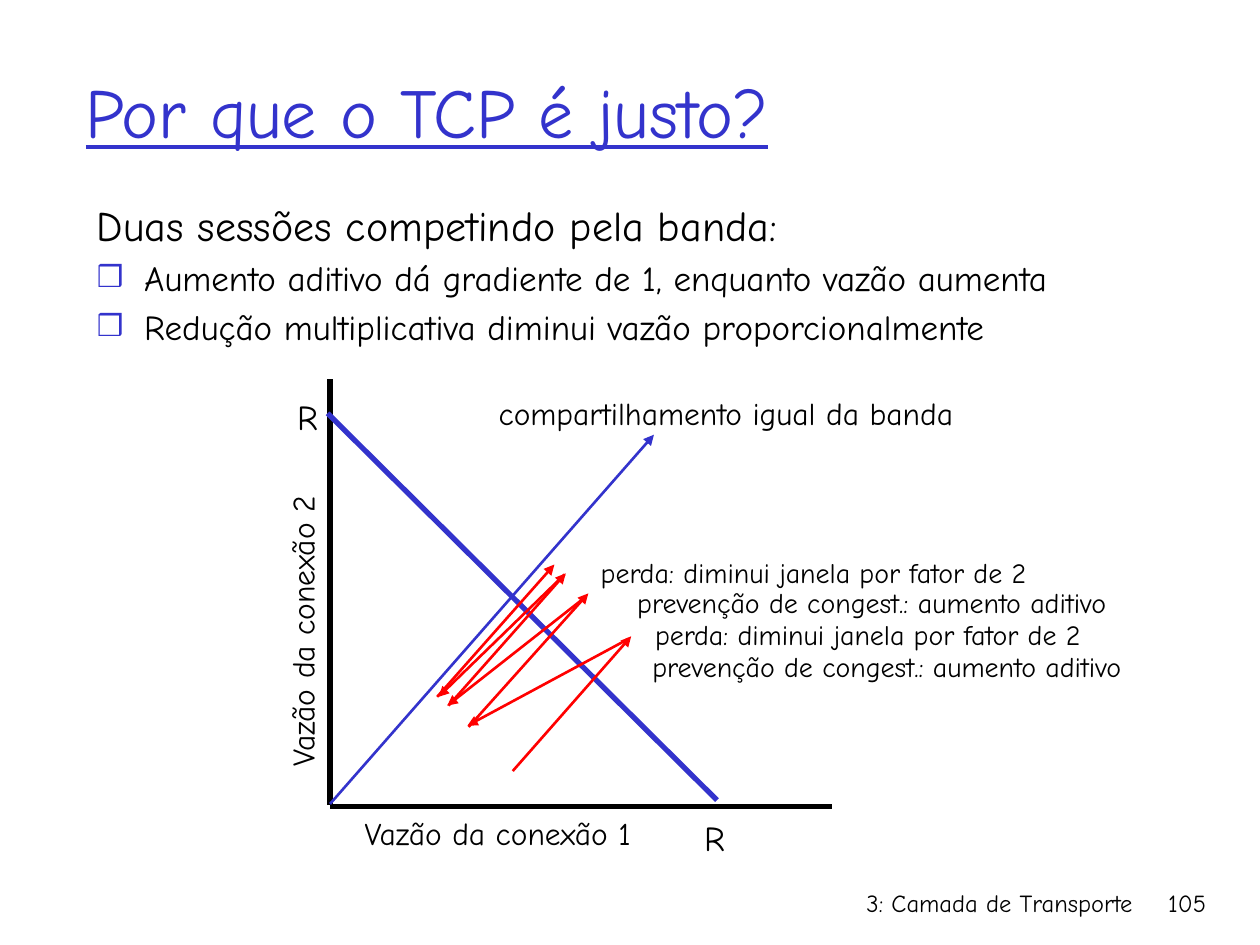
from dataclasses import dataclass

from lxml import etree
from pptx import Presentation
from pptx.dml.color import RGBColor
from pptx.enum.shapes import MSO_CONNECTOR
from pptx.enum.text import MSO_ANCHOR, MSO_AUTO_SIZE, PP_ALIGN
from pptx.oxml.ns import qn
from pptx.util import Pt

STRAIGHT = MSO_CONNECTOR.STRAIGHT
LEFT, CENTER, RIGHT = PP_ALIGN.LEFT, PP_ALIGN.CENTER, PP_ALIGN.RIGHT
MIDDLE, TOP = MSO_ANCHOR.MIDDLE, MSO_ANCHOR.TOP
NO_AUTOFIT = MSO_AUTO_SIZE.NONE

BLACK = RGBColor(0x00, 0x00, 0x00)
BLUE = RGBColor(0x33, 0x33, 0xCC)
RED = RGBColor(0xFF, 0x00, 0x00)
FONT = "Comic Neue"
BULLET = "❒"
LOSS = "perda: diminui janela por fator de 2"
AVOIDANCE = "prevenção de congest.: aumento aditivo"


@dataclass
class Label:
    text: str
    left: float
    top: float
    width: float
    height: float
    size: float
    align: PP_ALIGN = CENTER
    rotation: float = 0


@dataclass
class Line:
    start: tuple[float, float]
    end: tuple[float, float]
    color: RGBColor
    width: float
    arrow: bool = False


LABELS = [
    Label("R", 160, 222.5, 31.5, 31, 20),
    Label("R", 392.5, 463, 31.5, 31, 20),
    Label("compartilhamento igual da banda", 256.3, 221.8, 317, 29, 18),
    Label("Vazão da conexão 1", 144.7, 461.5, 279.4, 29, 18),
    Label("Vazão da conexão 2", 33.1, 346.3, 279.4, 29, 18, rotation=270),
    Label(LOSS, 336.2, 313.9, 279.4, 26.6, 16, LEFT),
    Label(AVOIDANCE, 319.7, 331.2, 357, 26.6, 16),
    Label(LOSS, 367.2, 349.2, 279.4, 26.6, 16, LEFT),
    Label(AVOIDANCE, 328.3, 367.9, 357, 26.6, 16),
    Label("3: Camada de Transporte", 426.2, 504, 228.2, 36, 14, RIGHT),
    Label("105", 643, 504, 53.3, 36, 14, RIGHT),
]

AXES = [
    Line((188.6, 460.8), (475.2, 460.8), BLACK, 3),
    Line((188.6, 460.1), (188.6, 216.7), BLACK, 3),
    Line((188.6, 459.4), (373.7, 248.4), BLUE, 1.5, True),
    Line((187.2, 236.2), (409.7, 457.2), BLUE, 3),
]

WINDOW_STEPS = [
    ((293, 440.6), (360.7, 363.6)),
    ((359.3, 365), (267.1, 414.7)),
    ((267.8, 415.4), (336.2, 339.1)),
    ((332.6, 342.7), (255.6, 403.2)),
    ((256.3, 403.2), (323.3, 327.6)),
    ((322.6, 328.3), (250.6, 398.2)),
    ((249.8, 398.2), (316.8, 322.6)),
]


def set_font(para, size: float, color: RGBColor) -> None:
    para.font.name = FONT
    para.font.size = Pt(size)
    para.font.color.rgb = color


def place(shape, left: float, top: float, width: float, height: float) -> None:
    shape.left, shape.top = Pt(left), Pt(top)
    shape.width, shape.height = Pt(width), Pt(height)


def add_bullet(para) -> None:
    properties = para._p.get_or_add_pPr()
    color = etree.SubElement(properties, qn("a:buClr"))
    etree.SubElement(color, qn("a:srgbClr"), val=str(BLUE))
    etree.SubElement(properties, qn("a:buSzPct"), val="85000")
    etree.SubElement(properties, qn("a:buChar"), char=BULLET)


def fill_title(title) -> None:
    place(title, 41.8, 18, 612, 90)
    frame = title.text_frame
    frame.text = "Por que o TCP é justo?"
    frame.vertical_anchor = MIDDLE
    frame.auto_size = NO_AUTOFIT
    para = frame.paragraphs[0]
    para.alignment = LEFT
    set_font(para, 40, BLUE)
    para.font.underline = True


def fill_body(body) -> None:
    place(body, 48.2, 110.2, 653.8, 365.8)
    frame = body.text_frame
    frame.auto_size = NO_AUTOFIT
    frame.vertical_anchor = TOP
    frame.text = "\n".join([
        "Duas sessões competindo pela banda:",
        "Aumento aditivo dá gradiente de 1, enquanto vazão aumenta",
        "Redução multiplicativa diminui vazão proporcionalmente",
    ])
    for index, para in enumerate(frame.paragraphs):
        size = 20 if index else 24
        para.space_before = Pt(size * 0.2)
        properties = para._p.get_or_add_pPr()
        properties.set("marL", str(Pt(27)))
        properties.set("indent", str(Pt(-27)))
        if index:
            add_bullet(para)
        else:
            etree.SubElement(properties, qn("a:buNone"))
        set_font(para, size, BLACK)


def add_label(page, label: Label) -> None:
    box = page.shapes.add_textbox(
        Pt(label.left), Pt(label.top), Pt(label.width), Pt(label.height))
    box.rotation = label.rotation
    frame = box.text_frame
    frame.word_wrap = True
    frame.text = label.text
    para = frame.paragraphs[0]
    para.alignment = label.align
    set_font(para, label.size, BLACK)


def add_line(page, line: Line) -> None:
    connector = page.shapes.add_connector(
        STRAIGHT, *(Pt(value) for value in line.start + line.end))
    connector.line.color.rgb = line.color
    connector.line.width = Pt(line.width)
    if line.arrow:
        outline = connector.line._get_or_add_ln()
        etree.SubElement(outline, qn("a:tailEnd"), type="triangle")
    etree.SubElement(connector._element.spPr, qn("a:effectLst"))


def main() -> None:
    deck = Presentation()
    deck.slide_width, deck.slide_height = Pt(720), Pt(540)
    page = deck.slides.add_slide(deck.slide_layouts[1])
    fill_title(page.shapes.title)
    fill_body(page.placeholders[1])
    for line in AXES:
        add_line(page, line)
    for start, end in WINDOW_STEPS:
        add_line(page, Line(start, end, RED, 1.5, True))
    for label in LABELS:
        add_label(page, label)
    deck.save("out.pptx")


if __name__ == "__main__":
    main()
